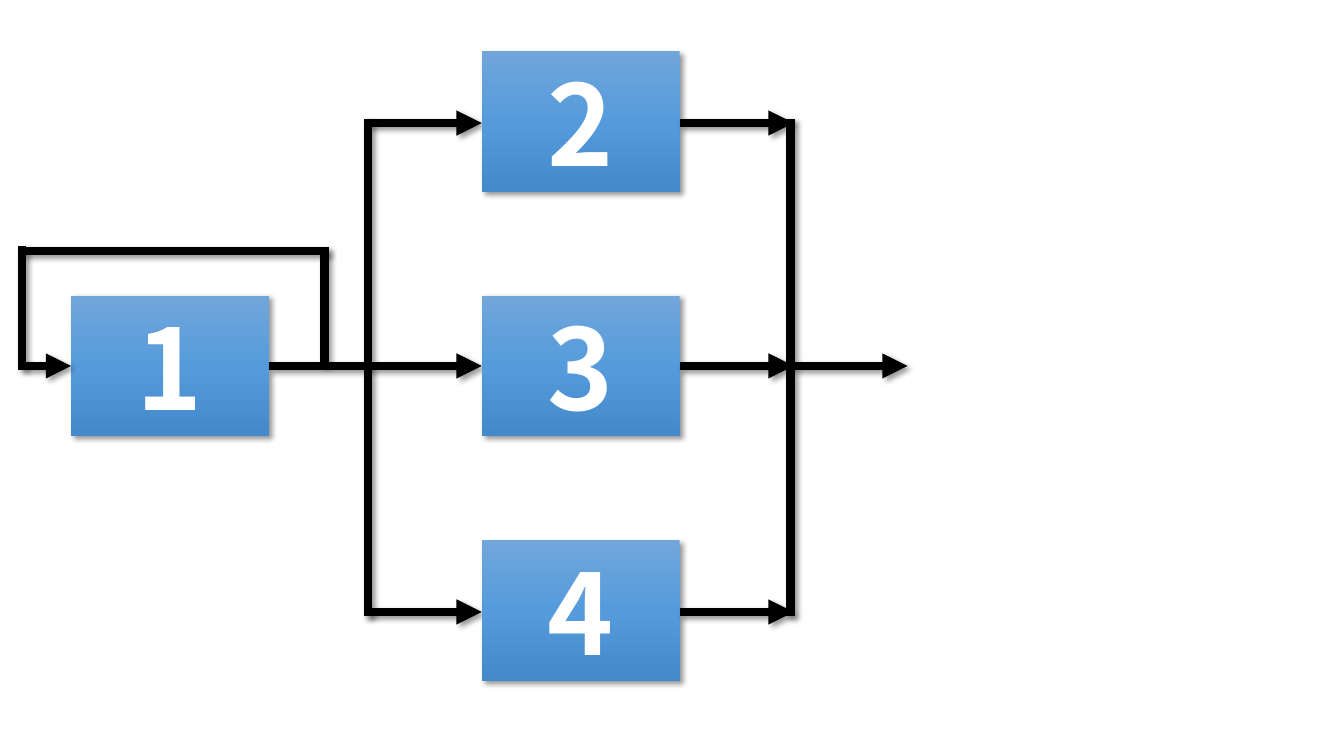
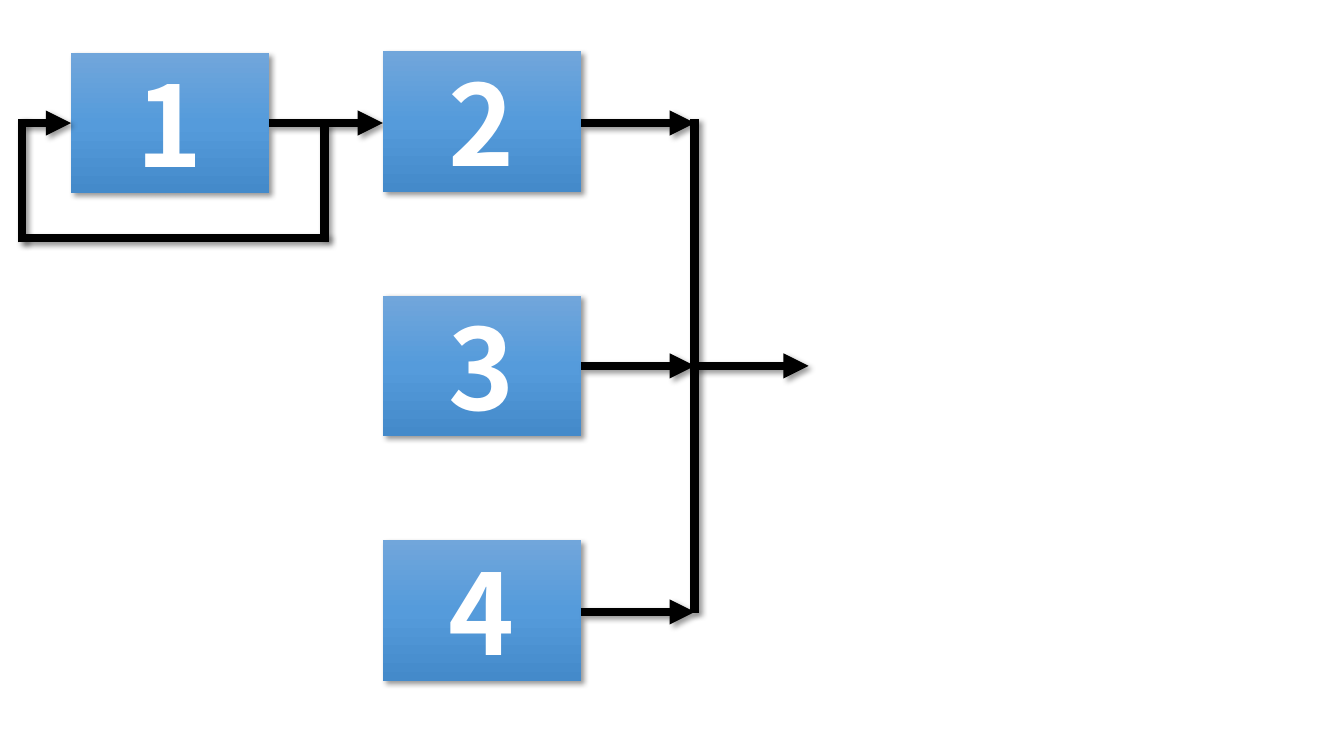
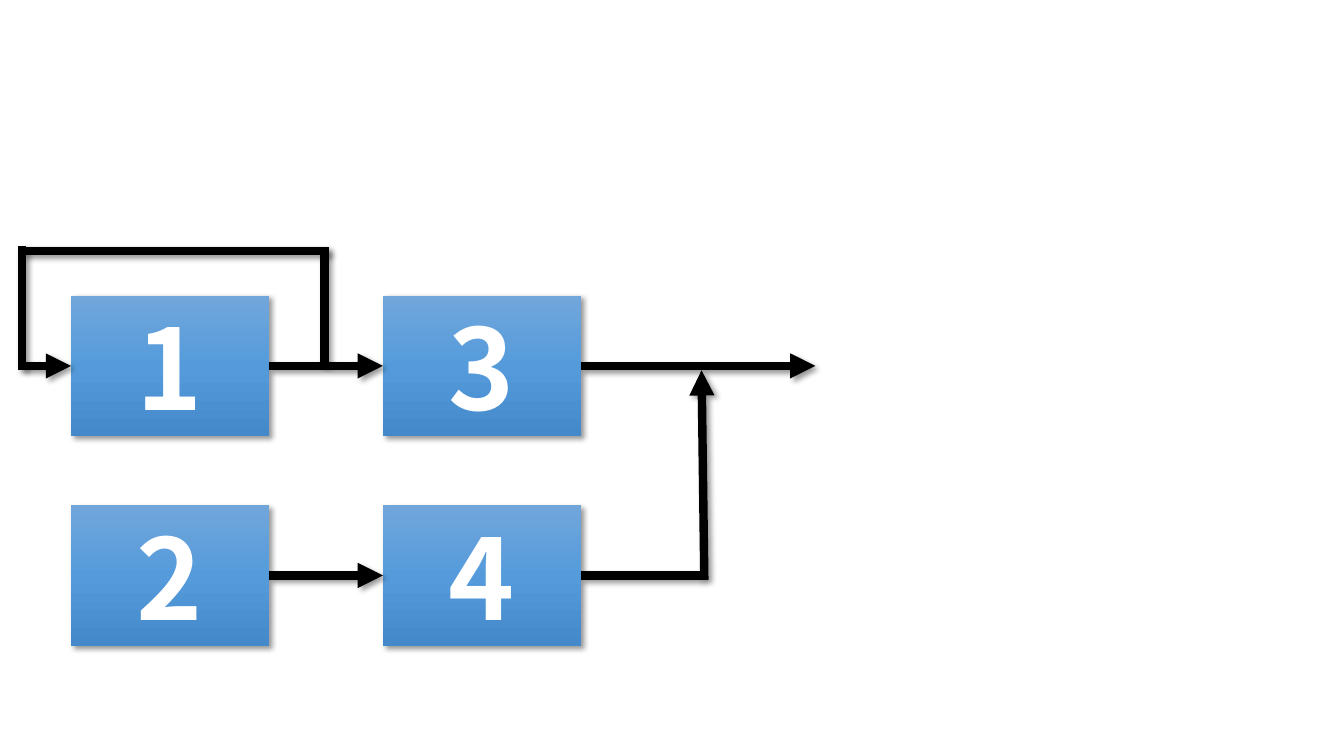
from copy import deepcopy

from pptx import Presentation
from pptx.dml.color import RGBColor
from pptx.enum.shapes import MSO_CONNECTOR, MSO_SHAPE
from pptx.enum.text import MSO_ANCHOR, PP_ALIGN
from pptx.oxml import parse_xml
from pptx.oxml.ns import nsdecls
from pptx.util import Cm, Pt

RECT = MSO_SHAPE.RECTANGLE
LINE = MSO_CONNECTOR.STRAIGHT
CENTER = PP_ALIGN.CENTER
MIDDLE = MSO_ANCHOR.MIDDLE

# Shared look
FONT = "Noto Sans CJK JP"
COLORS = {
    "top": "71A6DB",
    "mid": "559BDB",
    "low": "448ACA",
    "text": "FFFFFF",
    "wire": "000000",
}
SHADOW = (
    f'<a:effectLst {nsdecls("a")}>'
    f'<a:outerShdw blurRad="{Pt(4)}" dist="{Pt(3)}" dir="2700000" rotWithShape="0">'
    f'<a:srgbClr val="{COLORS["wire"]}"><a:alpha val="40000"/></a:srgbClr>'
    '</a:outerShdw></a:effectLst>'
)

# Shared grid, in centimetres
BOX_W, BOX_H = 4.99, 3.54
GAP = 2.87
LEFT = 1.79
NEAR = LEFT + BOX_W + GAP
FAR = 12.14
MID = 9.22
PITCH = 6.16
ROWS = [MID - PITCH, MID, MID + PITCH]
WIRES = [3.1, MID, 15.42]
LAP = 0.11


def color(name):
    return RGBColor.from_string(COLORS[name])


def cast(item):
    """Give a shape or line the soft shadow."""
    item._element.spPr.append(parse_xml(SHADOW))


def shade(fill):
    """Fill from top to bottom through three blues."""
    fill.gradient()
    fill.gradient_angle = 270
    first = fill.gradient_stops[0]._gs
    first.addnext(deepcopy(first))
    for stop, name, pos in zip(fill.gradient_stops, ("top", "mid", "low"), (0, 0.5, 1)):
        stop.color.rgb = color(name)
        stop.position = pos


def box(slide, label, left, mid):
    """Numbered box, placed by its left edge and middle height."""
    shape = slide.shapes.add_shape(
        RECT, Cm(left), Cm(mid - BOX_H / 2), Cm(BOX_W), Cm(BOX_H))
    shade(shape.fill)
    shape.line.fill.background()
    cast(shape)
    frame = shape.text_frame
    frame.text = label
    frame.vertical_anchor = MIDDLE
    para = frame.paragraphs[0]
    para.alignment = CENTER
    font = para.runs[0].font
    font.name, font.size, font.bold = FONT, Pt(80), True
    font.color.rgb = color("text")


def wire(slide, x1, y1, x2, y2, arrow=False):
    """Thick line, with an arrowhead at its end if wanted."""
    link = slide.shapes.add_connector(LINE, Cm(x1), Cm(y1), Cm(x2), Cm(y2))
    link.line.width = Pt(6)
    link.line.fill.solid()
    link.line.fill.fore_color.rgb = color("wire")
    if arrow:
        link.get_or_add_ln().append(
            parse_xml(f'<a:tailEnd {nsdecls("a")} type="triangle"/>'))
    cast(link)


def flow(slide, start, end, y):
    """Arrow that points right."""
    wire(slide, start, y, end, y, arrow=True)


def loop(slide, y, side):
    """Feedback around the left box: side is -1 above, 1 below."""
    start, back = 8.18, 0.56
    edge = y + side * 2.9
    lap = side * LAP
    wire(slide, start, y, start, edge)
    wire(slide, start + LAP, edge, back, edge)
    wire(slide, back, edge + lap, back, y - lap)
    flow(slide, back, LEFT, y)


def merge(slide, left, bus, low):
    """Column of boxes 2 to 4 whose outputs meet on one bus."""
    side = left + BOX_W
    join = side + GAP
    for label, row, y in zip("234", ROWS, WIRES):
        box(slide, label, left, row)
        flow(slide, side, join, y)
    wire(slide, bus, low, bus, WIRES[0] - LAP)
    flow(slide, join, join + GAP, MID)


def fan(slide):
    """One box feeds three."""
    box(slide, "1", LEFT, MID)
    loop(slide, MID, -1)
    low = WIRES[2] + LAP
    fork = 9.27
    wire(slide, fork, low, fork, WIRES[0] - LAP)
    for y, start in zip(WIRES, (fork, LEFT + BOX_W, fork)):
        flow(slide, start, FAR, y)
    merge(slide, FAR, 19.92, low)


def chain(slide):
    """One box feeds the first of three."""
    y = WIRES[0]
    box(slide, "1", LEFT, y)
    loop(slide, y, 1)
    flow(slide, LEFT + BOX_W, NEAR, y)
    merge(slide, NEAR, 17.5, 15.45)


def pairs(slide):
    """Two rows of two boxes, the lower one joining the upper."""
    base = 14.5
    for y, labels in ((MID, "13"), (base, "24")):
        for label, left in zip(labels, (LEFT, NEAR)):
            box(slide, label, left, y)
        flow(slide, LEFT + BOX_W, NEAR, y)
    loop(slide, MID, -1)
    side, join = NEAR + BOX_W, 17.68
    flow(slide, side, 20.55, MID)
    wire(slide, side, base, join, base)
    wire(slide, 17.75, base + LAP, join, MID + LAP, arrow=True)


def main():
    deck = Presentation()
    deck.slide_width, deck.slide_height = Cm(33.87), Cm(19.05)
    blank = deck.slide_layouts[6]
    for draw in (fan, chain, pairs):
        draw(deck.slides.add_slide(blank))
    deck.save("out.pptx")


main()
